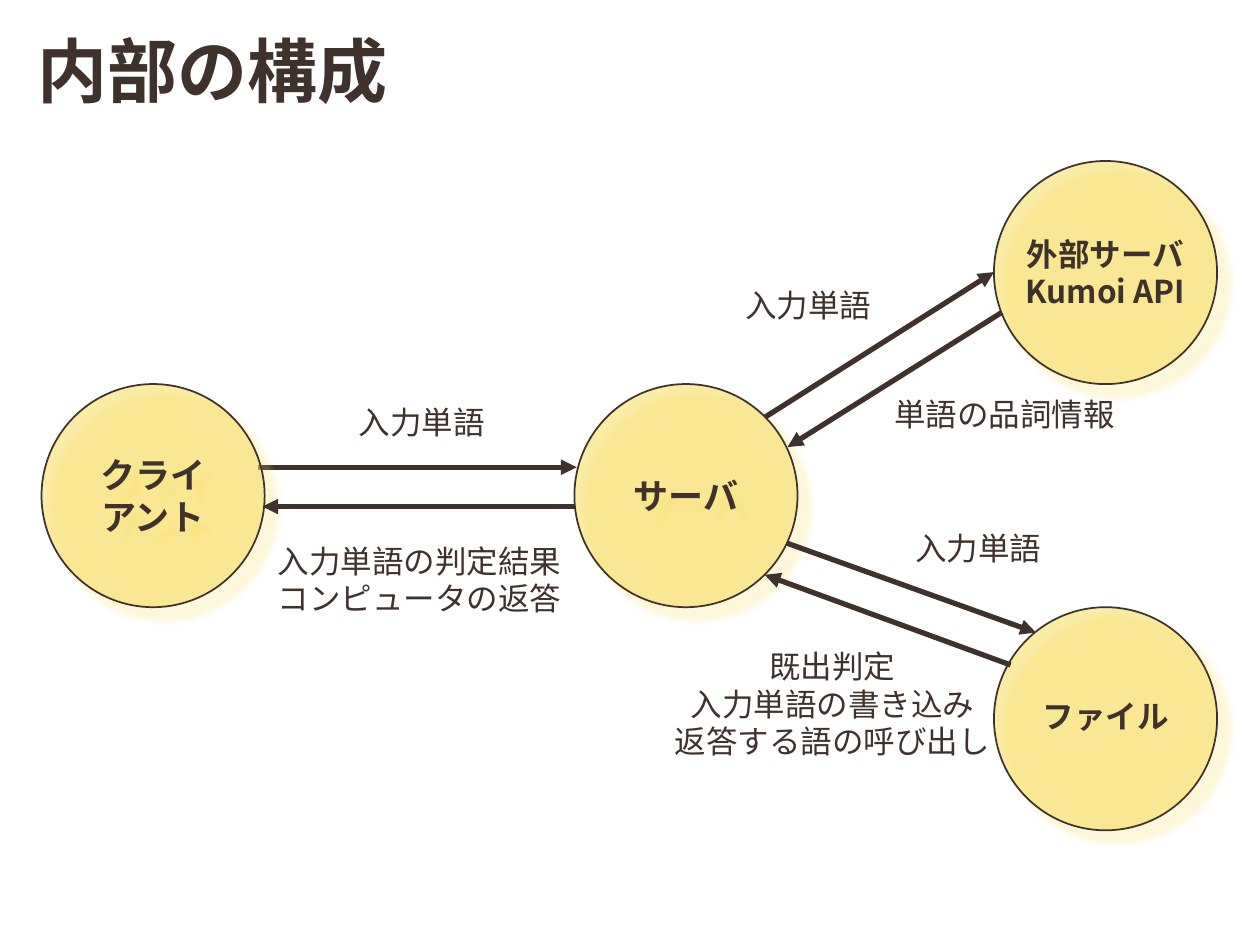
from dataclasses import dataclass

from lxml.etree import SubElement
from pptx import Presentation
from pptx.dml.color import RGBColor
from pptx.enum.shapes import MSO_CONNECTOR, MSO_SHAPE
from pptx.enum.text import MSO_ANCHOR, PP_ALIGN
from pptx.oxml.ns import qn
from pptx.util import Pt

COLORS = {"ink": "3F312B", "yellow": "F7D94C"}
FONT = "Noto Sans CJK JP"
DIAMETER = 127.5


@dataclass
class Node:
    left: float
    top: float
    text: str = ""


@dataclass
class Arrow:
    x1: float
    y1: float
    x2: float
    y2: float


@dataclass
class Label:
    left: float
    top: float
    width: float
    lines: list[str]
    bold: bool = False


NODES = [
    Node(23.75, 219.5, "クライアント"),
    Node(568, 347),
    Node(568, 92),
    Node(328.25, 219.5, "サーバ"),
]
REQUEST = Arrow(147.5, 267, 329.5, 267)  # passes behind the client circle
ARROWS = [
    Arrow(328.5, 289.5, 150, 289.5),
    Arrow(437, 238.5, 568, 155.5),
    Arrow(572.5, 178.5, 450, 255.5),
    Arrow(450, 310.5, 592, 361.5),
    Arrow(577.5, 380, 437, 328.5),
]
LABELS = [
    Label(404, 160, 116, ["入力単語"]),
    Label(150, 306, 179.5, ["入力単語の判定結果", "コンピュータの返答"]),
    Label(152, 227, 178, ["入力単語"]),
    Label(496, 222, 156, ["単語の品詞情報"]),
    Label(568, 130.5, DIAMETER, ["外部サーバ", "Kumoi API"], True),
    Label(568, 394.5, DIAMETER, ["ファイル"], True),
    Label(501, 299, 116, ["入力単語"]),
    Label(375, 366, 201.5, ["既出判定", "入力単語の書き込み", "返答する語の呼び出し"]),
]


def color(name: str) -> RGBColor:
    return RGBColor.from_string(COLORS[name])


def write(shape, lines: list[str], size: float, bold: bool, align=PP_ALIGN.CENTER) -> None:
    frame = shape.text_frame
    frame.word_wrap = True
    frame.text = "\n".join(lines)
    for para in frame.paragraphs:
        para.alignment = align
        font = para.font
        font.name, font.size, font.bold = FONT, Pt(size), bold
        font.color.rgb = color("ink")
    # Japanese glyphs use the East Asian font slot
    for latin in list(shape.element.iter(qn("a:latin"))):
        east_asian = SubElement(latin.getparent(), qn("a:ea"), typeface=FONT)
        latin.addnext(east_asian)


def add_node(page, node: Node) -> None:
    circle = page.shapes.add_shape(
        MSO_SHAPE.OVAL, Pt(node.left), Pt(node.top), Pt(DIAMETER), Pt(DIAMETER))
    circle.shadow.inherit = False
    circle.fill.solid()
    circle.fill.fore_color.rgb = color("yellow")
    circle.line.color.rgb = color("ink")
    circle.line.width = Pt(1)
    # Half-transparent fill
    fill = circle.element.spPr.find(qn("a:solidFill"))
    SubElement(fill[0], qn("a:alpha"), val="50000")
    # Soft shadow to the lower right
    effects = circle.element.spPr.find(qn("a:effectLst"))
    shadow = SubElement(effects, qn("a:outerShdw"), blurRad=str(Pt(4)),
                        dist=str(Pt(9)), dir="2700000", rotWithShape="0")
    tint = SubElement(shadow, qn("a:srgbClr"), val=COLORS["yellow"])
    SubElement(tint, qn("a:alpha"), val="40000")
    if node.text:
        circle.text_frame.vertical_anchor = MSO_ANCHOR.MIDDLE
        write(circle, [node.text], 20, True)


def add_arrow(page, arrow: Arrow) -> None:
    line = page.shapes.add_connector(
        MSO_CONNECTOR.STRAIGHT, Pt(arrow.x1), Pt(arrow.y1), Pt(arrow.x2), Pt(arrow.y2))
    line.line.color.rgb = color("ink")
    line.line.width = Pt(3)
    SubElement(line.line._get_or_add_ln(), qn("a:tailEnd"), type="triangle")
    SubElement(line.element.spPr, qn("a:effectLst"))


def add_label(page, label: Label) -> None:
    height = 7.2 + 21.8 * len(label.lines)
    box = page.shapes.add_textbox(
        Pt(label.left), Pt(label.top), Pt(label.width), Pt(height))
    write(box, label.lines, 18, label.bold)


def main() -> None:
    deck = Presentation()
    deck.slide_width, deck.slide_height = Pt(720), Pt(540)
    page = deck.slides.add_slide(deck.slide_layouts[5])

    # Title
    title = page.shapes.title
    title.left, title.top, title.width, title.height = Pt(14.5), Pt(11), Pt(672), Pt(64)
    title.text_frame.vertical_anchor = MSO_ANCHOR.MIDDLE
    write(title, ["内部の構成"], 40, True, PP_ALIGN.LEFT)
    title.text_frame.paragraphs[0].line_spacing = 0.9

    # Diagram
    add_arrow(page, REQUEST)
    for node in NODES:
        add_node(page, node)
    for arrow in ARROWS:
        add_arrow(page, arrow)
    for label in LABELS:
        add_label(page, label)

    deck.save("out.pptx")


if __name__ == "__main__":
    main()
